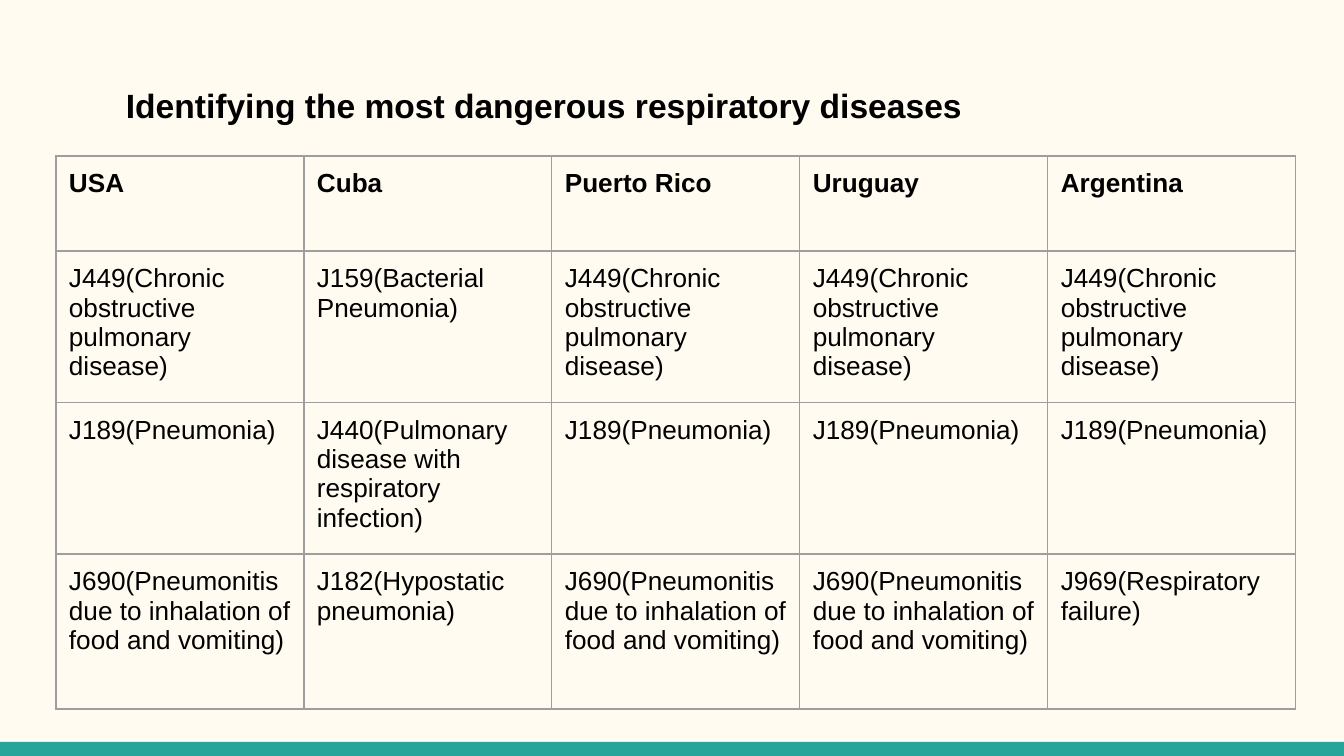
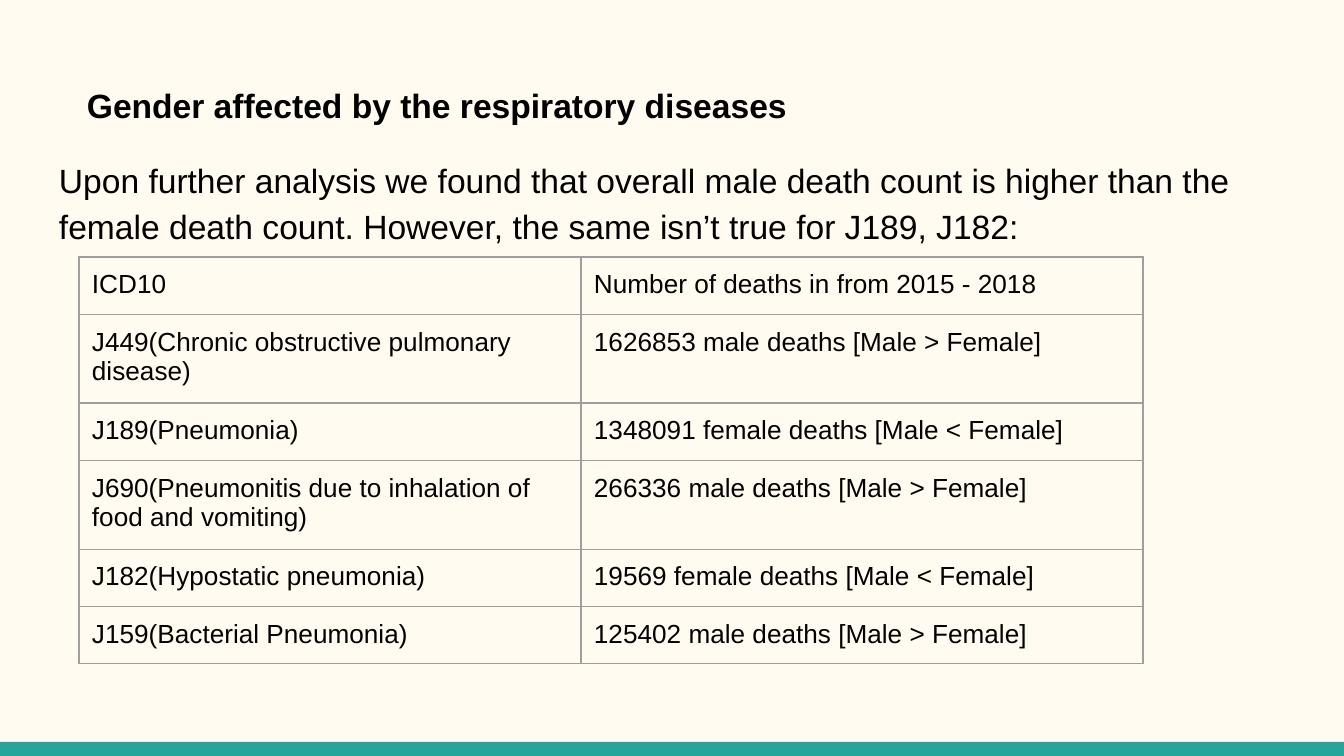
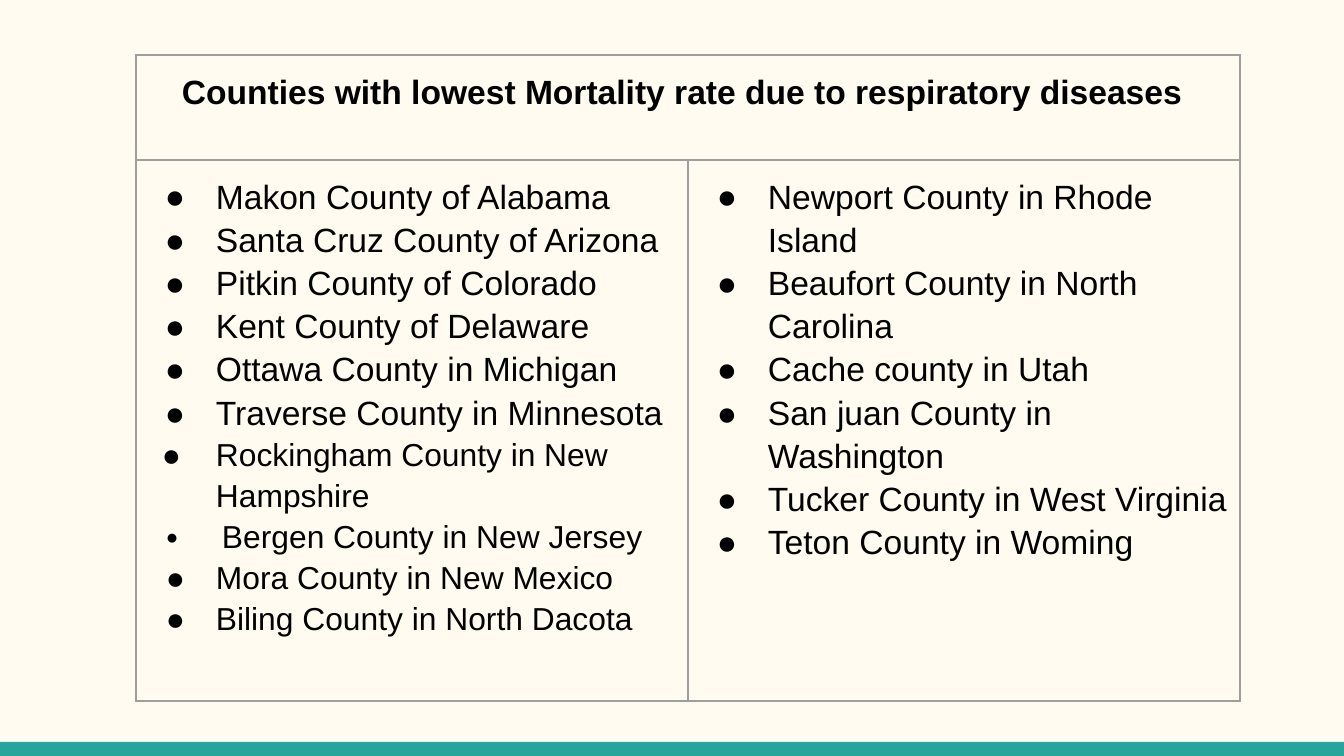
from lxml.etree import SubElement
from pptx import Presentation
from pptx.dml.color import RGBColor
from pptx.enum.shapes import MSO_SHAPE as Shape
from pptx.oxml.ns import qn
from pptx.util import Emu, Pt

PX_PER_INCH = 134.4
SLIDE_WIDTH, SLIDE_HEIGHT = 1344, 756
BAND_HEIGHT = 14
INSET = 13
LIST_MARGIN = 67
FONT = "Arial"
COLORS = {"background": "FFFBF0", "band": "26A69A", "text": "000000", "border": "9E9E9E"}

COPD = "J449(Chronic obstructive pulmonary disease)"
PNEUMONIA = "J189(Pneumonia)"
PNEUMONITIS = "J690(Pneumonitis due to inhalation of food and vomiting)"
HYPOSTATIC = "J182(Hypostatic pneumonia)"
BACTERIAL = "J159(Bacterial Pneumonia)"

DISEASES_BY_COUNTRY = [
    ["USA", "Cuba", "Puerto Rico", "Uruguay", "Argentina"],
    [COPD, BACTERIAL, COPD, COPD, COPD],
    [PNEUMONIA, "J440(Pulmonary disease with respiratory infection)",
     PNEUMONIA, PNEUMONIA, PNEUMONIA],
    [PNEUMONITIS, HYPOSTATIC, PNEUMONITIS, PNEUMONITIS, "J969(Respiratory failure)"],
]
DEATHS_BY_GENDER = [
    ["ICD10", "Number of deaths in from 2015 - 2018"],
    [COPD, "1626853 male deaths [Male > Female]"],
    [PNEUMONIA, "1348091 female deaths [Male < Female]"],
    [PNEUMONITIS, "266336 male deaths [Male > Female]"],
    [HYPOSTATIC, "19569 female deaths [Male < Female]"],
    [BACTERIAL, "125402 male deaths [Male > Female]"],
]
# Each county: text, then any settings that differ from the usual bullet.
LEFT_COUNTIES = [
    ("Makon County of Alabama", {}),
    ("Santa Cruz County of Arizona", {}),
    ("Pitkin County of Colorado", {}),
    ("Kent County of Delaware", {}),
    ("Ottawa County in Michigan", {}),
    ("Traverse County in Minnesota", {}),
    ("Rockingham County in New Hampshire", {"size": 17, "indent": -54}),
    ("Bergen County in New Jersey",
     {"size": 17, "margin": 73, "indent": -56, "bullet_percent": 65}),
    ("Mora County in New Mexico", {"size": 17, "indent": -50}),
    ("Biling County in North Dacota", {"size": 17, "indent": -50}),
]
RIGHT_COUNTIES = [
    ("Newport County in Rhode Island", {}),
    ("Beaufort County in North Carolina", {}),
    ("Cache county in Utah", {}),
    ("San juan County in Washington", {}),
    ("Tucker County in West Virginia", {}),
    ("Teton County in Woming", {}),
]


def px(length):
    return Emu(round(length * 914400 / PX_PER_INCH))


def color(name):
    return RGBColor.from_string(COLORS[name])


def set_insets(target):
    """Give a text frame or a table cell the same inset on all sides."""
    target.margin_left = target.margin_right = px(INSET)
    target.margin_top = target.margin_bottom = px(INSET)


def set_indent(paragraph, margin, indent):
    properties = paragraph._p.get_or_add_pPr()
    properties.set("marL", str(px(margin)))
    properties.set("indent", str(px(indent)))


def set_bullet(paragraph, percent):
    properties = paragraph._p.get_or_add_pPr()
    bullet_color = SubElement(properties, qn("a:buClr"))
    SubElement(bullet_color, qn("a:srgbClr"), val=COLORS["text"])
    SubElement(properties, qn("a:buSzPct"), val=str(percent * 1000))
    SubElement(properties, qn("a:buFont"), typeface=FONT)
    SubElement(properties, qn("a:buChar"), char="●")


def write(paragraph, text, size, bold=False, spacing=1.0, after=0):
    paragraph.text = text
    paragraph.line_spacing = spacing
    paragraph.space_after = Pt(after)
    font = paragraph.font
    font.name, font.size, font.bold = FONT, Pt(size), bold
    font.color.rgb = color("text")


def write_heading(paragraph, text, margin, indent=0):
    set_indent(paragraph, margin, indent)
    write(paragraph, text, 18, bold=True, spacing=1.15, after=16)


def write_bullets(text_frame, items):
    for index, (text, settings) in enumerate(items):
        paragraph = text_frame.add_paragraph() if index else text_frame.paragraphs[0]
        set_indent(paragraph, settings.get("margin", LIST_MARGIN), settings.get("indent", -51))
        set_bullet(paragraph, settings.get("bullet_percent", 100))
        write(paragraph, text, settings.get("size", 18), spacing=1.15)


def add_slide(presentation):
    """Add a slide with the shared background and bottom band."""
    slide = presentation.slides.add_slide(presentation.slide_layouts[6])
    slide.background.fill.solid()
    slide.background.fill.fore_color.rgb = color("background")
    band = slide.shapes.add_shape(Shape.RECTANGLE, 0, px(SLIDE_HEIGHT - BAND_HEIGHT),
                                  px(SLIDE_WIDTH), px(BAND_HEIGHT))
    band.shadow.inherit = False
    band.fill.solid()
    band.fill.fore_color.rgb = color("band")
    band.line.fill.background()
    return slide


def add_text_box(slide, top, height):
    """Add a full-width text box and return its first paragraph."""
    box = slide.shapes.add_textbox(px(46), px(top), px(1253), px(height))
    box.text_frame.word_wrap = True
    set_insets(box.text_frame)
    return box.text_frame.paragraphs[0]


def add_title(slide, text, margin):
    write_heading(add_text_box(slide, 66, 90), text, margin)


def style_cell(cell):
    set_insets(cell)
    properties = cell._tc.get_or_add_tcPr()
    for side in ("lnL", "lnR", "lnT", "lnB"):
        line = SubElement(properties, qn(f"a:{side}"), w=str(Pt(0.75)))
        fill = SubElement(line, qn("a:solidFill"))
        SubElement(fill, qn("a:srgbClr"), val=COLORS["border"])
    cell.fill.background()


def add_grid(slide, left, top, widths, heights):
    """Add an unfilled table with thin borders."""
    table = slide.shapes.add_table(len(heights), len(widths), px(left), px(top),
                                   px(sum(widths)), px(sum(heights))).table
    table.first_row = table.horz_banding = False
    for column, width in zip(table.columns, widths):
        column.width = px(width)
    for row, height in zip(table.rows, heights):
        row.height = px(height)
        for cell in row.cells:
            style_cell(cell)
    return table


def fill_grid(table, rows, bold_header=False):
    for row_index, texts in enumerate(rows):
        for column_index, text in enumerate(texts):
            paragraph = table.cell(row_index, column_index).text_frame.paragraphs[0]
            write(paragraph, text, 14, bold=bold_header and row_index == 0)


def add_diseases_slide(presentation):
    slide = add_slide(presentation)
    add_title(slide, "Identifying the most dangerous respiratory diseases", LIST_MARGIN)
    table = add_grid(slide, 56, 156, [248] * 5, [95, 150, 150, 155])
    fill_grid(table, DISEASES_BY_COUNTRY, bold_header=True)


def add_gender_slide(presentation):
    slide = add_slide(presentation)
    add_title(slide, "Gender affected by the respiratory diseases", 28)
    write(add_text_box(slide, 141, 583),
          "Upon further analysis we found that overall male death count is higher than the "
          "female death count. However, the same isn’t true for J189, J182:",
          18, spacing=1.15)
    table = add_grid(slide, 79, 257, [502, 562], [56, 86, 56, 86, 56, 56])
    fill_grid(table, DEATHS_BY_GENDER)


def add_counties_slide(presentation):
    slide = add_slide(presentation)
    table = add_grid(slide, 136, 55, [552] * 2, [105, 541])
    header = table.cell(0, 0)
    header.merge(table.cell(0, 1))
    write_heading(header.text_frame.paragraphs[0],
                  "Counties with lowest Mortality rate due to respiratory diseases",
                  LIST_MARGIN, -34)
    for column_index, counties in enumerate((LEFT_COUNTIES, RIGHT_COUNTIES)):
        write_bullets(table.cell(1, column_index).text_frame, counties)


def main():
    presentation = Presentation()
    presentation.slide_width = px(SLIDE_WIDTH)
    presentation.slide_height = px(SLIDE_HEIGHT)
    add_diseases_slide(presentation)
    add_gender_slide(presentation)
    add_counties_slide(presentation)
    presentation.save("out.pptx")


if __name__ == "__main__":
    main()
